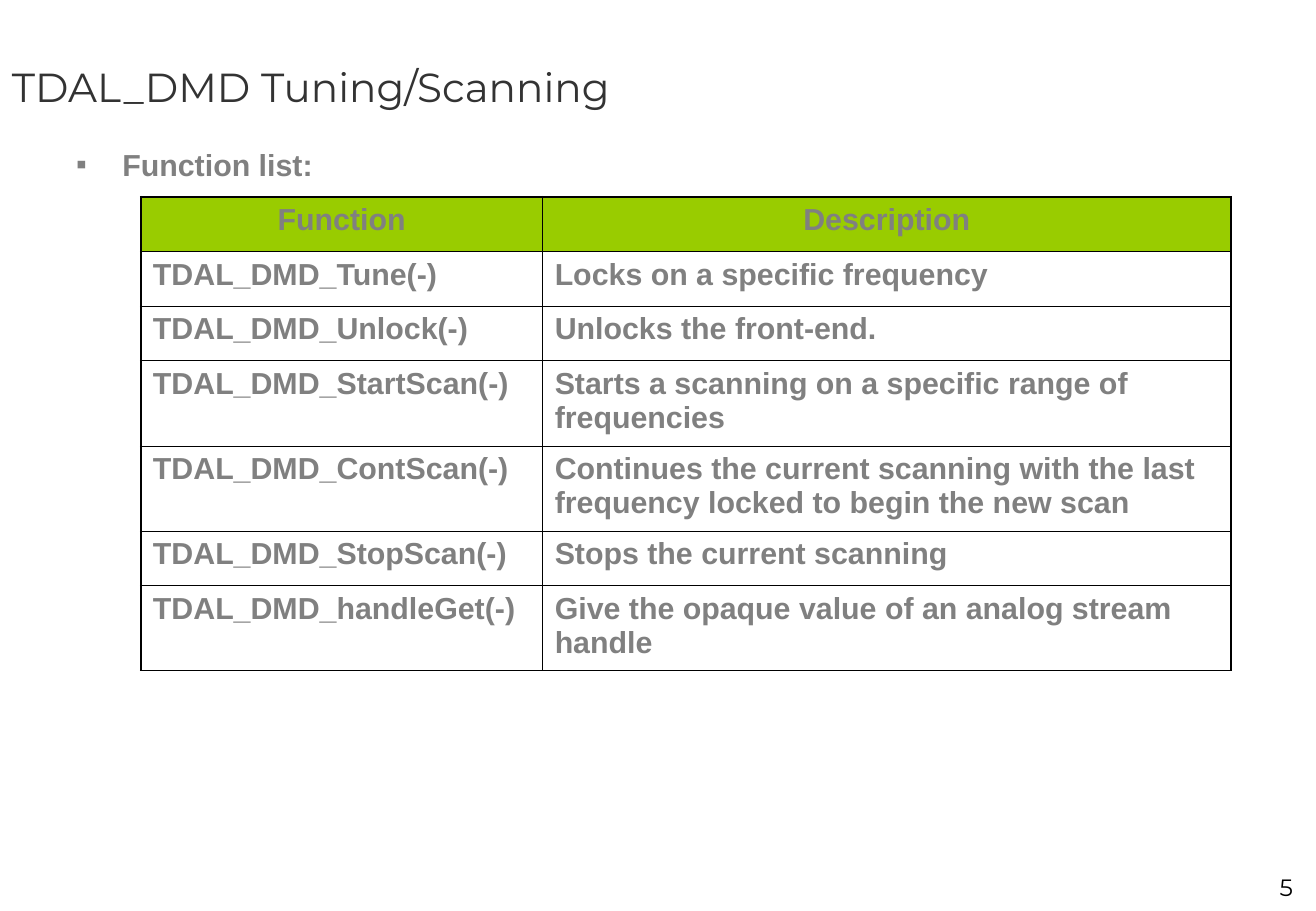
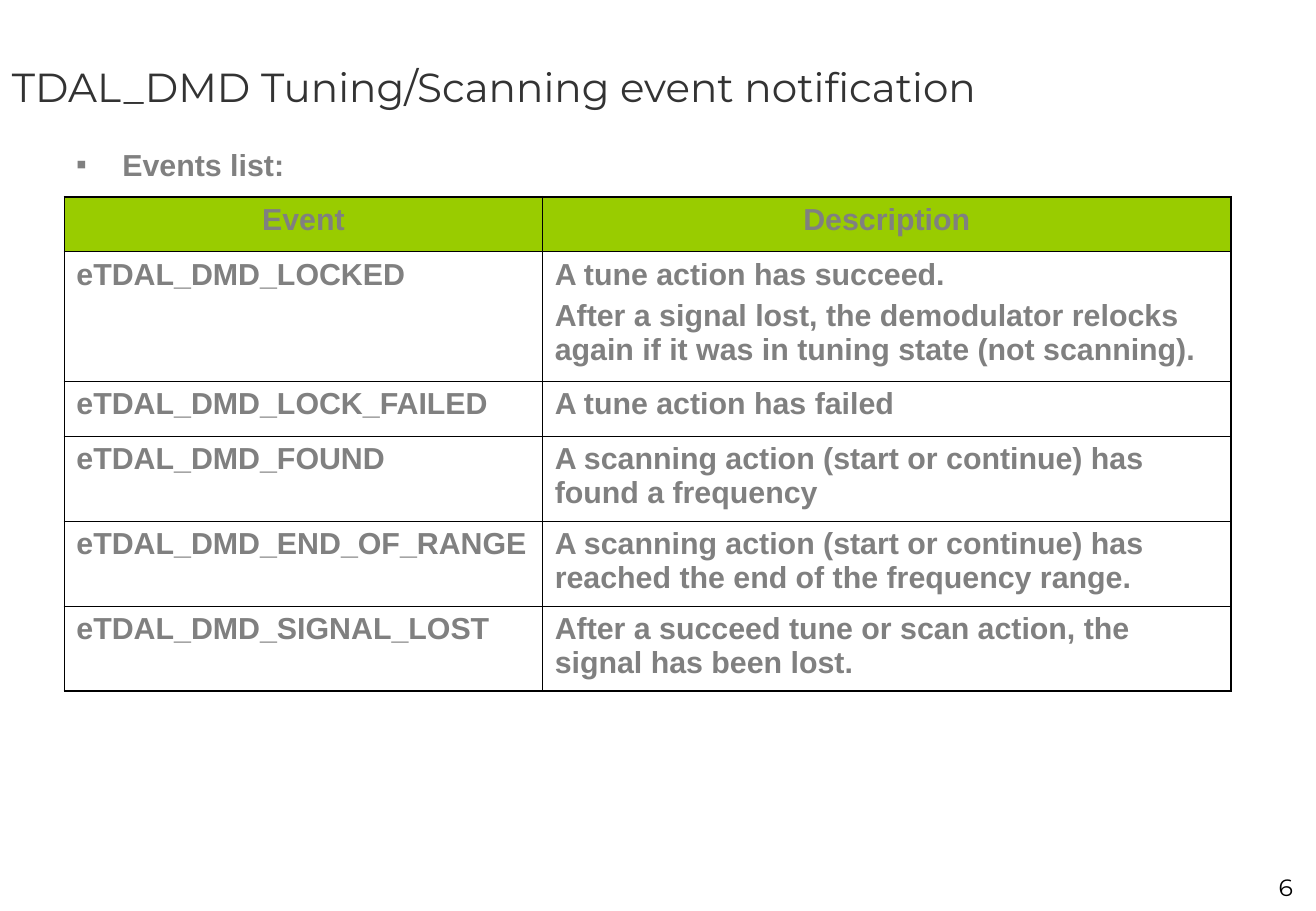
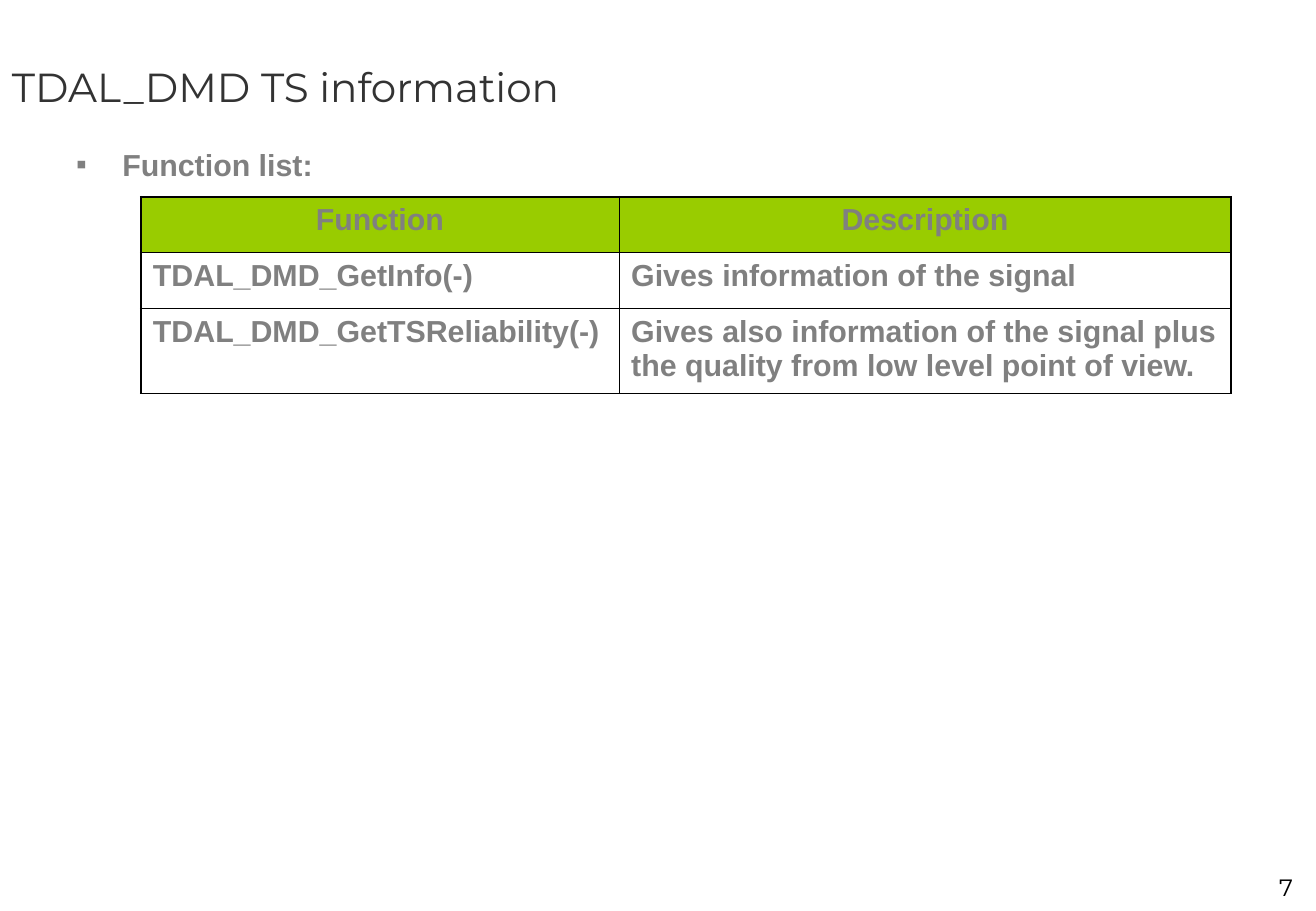
from lxml import etree
from pptx import Presentation
from pptx.dml.color import RGBColor
from pptx.enum import text
from pptx.oxml import ns
from pptx import util as u

HUES = {"title": "333333", "body": "808080", "head": "99CC00", "line": "000000"}
FONTS = {"title": "Montserrat", "body": "Arial"}
LEFT, COL, EDGE = 0.53, 0.63, 10.14
TOP, ROW = 1.62, 0.45
THIN, THICK = 0.45, 1.08


def hue(name):
    return RGBColor.from_string(HUES[name])


def node(root, tag, **attrs):
    return etree.SubElement(root, ns.qn(tag), attrs)


class Deck:
    def __init__(self, wide, high):
        self.file = Presentation()
        self.file.slide_width = u.Inches(wide)
        self.file.slide_height = u.Inches(high)
        self.page = None

    def start(self, title, number):
        self.page = self.file.slides.add_slide(self.file.slide_layouts[6])
        frame = self.box(0, 0, 10.83, 1.42)
        frame.vertical_anchor = text.MSO_ANCHOR.MIDDLE
        self.words(frame, [title], "title", 24, "title")
        frame = self.box(9.59, 7.14, 1.16, 0.33)
        self.words(frame, [str(number)], "title", 14, "line", text.PP_ALIGN.RIGHT)

    def box(self, *area):
        frame = self.page.shapes.add_textbox(*map(u.Inches, area)).text_frame
        frame.word_wrap = True
        return frame

    def words(self, frame, lines, font, size, color, align=text.PP_ALIGN.LEFT,
              before=0, bold=False, mark=None):
        frame.text = "\n".join(lines)
        for para in frame.paragraphs:
            para.alignment = align
            para.space_before = u.Pt(before)
            if mark:
                self.mark(para, mark, color)
            para.font.name = FONTS[font]
            para.font.size = u.Pt(size)
            para.font.bold = bold
            para.font.color.rgb = hue(color)

    def mark(self, para, sign, color):
        props = para._p.get_or_add_pPr()
        props.set("marL", str(u.Inches(0.38)))
        props.set("indent", str(-u.Inches(0.38)))
        node(node(props, "a:buClr"), "a:srgbClr", val=HUES[color])
        node(props, "a:buFont", typeface=FONTS["body"])
        node(props, "a:buChar", char=sign)

    def body(self, frame, lines, **style):
        self.words(frame, lines, "body", 18, "body", before=4.5, bold=True, **style)

    def lead(self, line):
        self.body(self.box(LEFT, 1.15, 9.6, 4.95), [line], mark="▪")

    def table(self, first, span, rows, highs):
        left = LEFT + first * COL
        wide = EDGE - left
        last = len(rows) - 1
        shape = self.page.shapes.add_table(
            len(rows), 2, *map(u.Inches, (left, TOP, wide, sum(highs))))
        grid = shape.table
        grid.first_row = grid.horz_banding = False
        for col, size in zip(grid.columns, (wide - span * COL, span * COL)):
            col.width = u.Inches(size)
        for r, (row, high) in enumerate(zip(rows, highs)):
            grid.rows[r].height = u.Inches(high)
            for c, words in enumerate(row):
                cell = grid.cell(r, c)
                self.rule(cell, L=c == 0, R=c == 1, T=r == 0, B=r == last)
                if r == 0:
                    cell.fill.solid()
                    cell.fill.fore_color.rgb = hue("head")
                else:
                    cell.fill.background()
                side = text.PP_ALIGN.LEFT if r else text.PP_ALIGN.CENTER
                self.body(cell.text_frame, words.split("\n"), align=side)

    def rule(self, cell, **sides):
        props = cell._tc.get_or_add_tcPr()
        for side, outer in sides.items():
            size = u.Pt(THICK if outer else THIN)
            line = node(props, "a:ln" + side, w=str(size))
            node(node(line, "a:solidFill"), "a:srgbClr", val=HUES["line"])


TALL = 0.7
PAGES = [
    ("TDAL_DMD Tuning/Scanning", "Function list:", 1, 9, [
        ("Function", "Description"),
        ("TDAL_DMD_Tune(-)", "Locks on a specific frequency"),
        ("TDAL_DMD_Unlock(-)", "Unlocks the front-end."),
        ("TDAL_DMD_StartScan(-)",
         "Starts a scanning on a specific range of frequencies"),
        ("TDAL_DMD_ContScan(-)",
         "Continues the current scanning with the last frequency locked "
         "to begin the new scan"),
        ("TDAL_DMD_StopScan(-)", "Stops the current scanning"),
        ("TDAL_DMD_handleGet(-)",
         "Give the opaque value of an analog stream handle"),
    ], [ROW, ROW, ROW, TALL, TALL, ROW, TALL]),
    ("TDAL_DMD Tuning/Scanning event notification", "Events list:", 0, 9, [
        ("Event", "Description"),
        ("eTDAL_DMD_LOCKED",
         "A tune action has succeed.\nAfter a signal lost, the demodulator "
         "relocks again if it was in tuning state (not scanning)."),
        ("eTDAL_DMD_LOCK_FAILED", "A tune action has failed"),
        ("eTDAL_DMD_FOUND",
         "A scanning action (start or continue) has found a frequency"),
        ("eTDAL_DMD_END_OF_RANGE",
         "A scanning action (start or continue) has reached the end of "
         "the frequency range."),
        ("eTDAL_DMD_SIGNAL_LOST",
         "After a succeed tune or scan action, the signal has been lost."),
    ], [ROW, 1.07, ROW, TALL, TALL, TALL]),
    ("TDAL_DMD TS information", "Function list:", 1, 8, [
        ("Function", "Description"),
        ("TDAL_DMD_GetInfo(-)", "Gives information of the signal"),
        ("TDAL_DMD_GetTSReliability(-)",
         "Gives also information of the signal plus the quality from low "
         "level point of view."),
    ], [0.46, 0.46, TALL]),
]


def main():
    deck = Deck(10.84, 7.5)
    for number, (title, lead, first, span, rows, highs) in enumerate(PAGES, 5):
        deck.start(title, number)
        deck.lead(lead)
        deck.table(first, span, rows, highs)
    deck.file.save("out.pptx")


if __name__ == "__main__":
    main()
